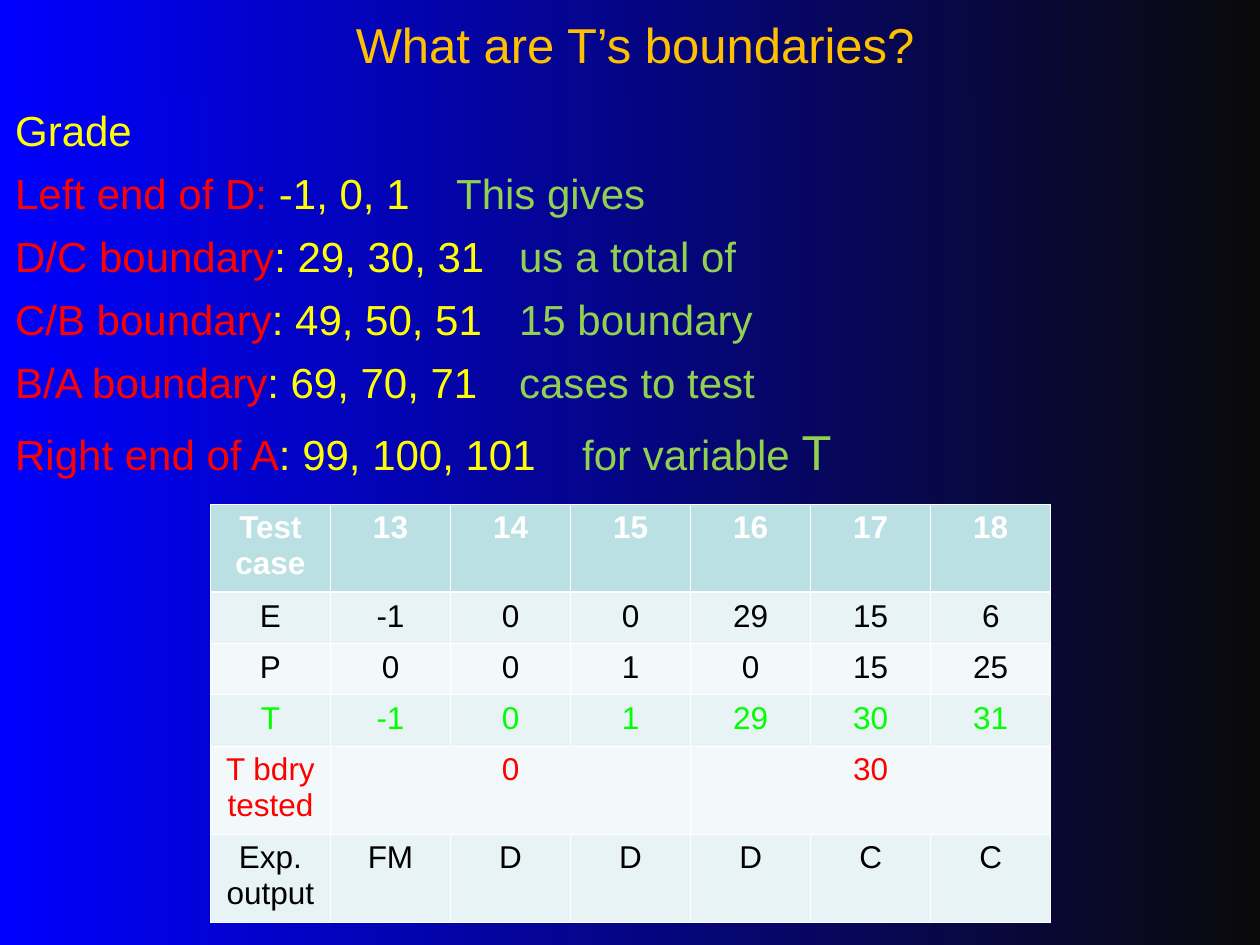
import pptx
import pptx.util
import pptx.dml.color
import pptx.enum.text
import pptx.oxml.ns
import lxml.etree
from dataclasses import dataclass

Inches = pptx.util.Inches
Pt = pptx.util.Pt
PP = pptx.enum.text.PP_ALIGN
ANCHOR = pptx.enum.text.MSO_ANCHOR
FIT = pptx.enum.text.MSO_AUTO_SIZE


@dataclass(frozen=True)
class Theme:
    """Colours, type sizes and font of the slide."""
    face: str = "Arial"
    head: int = 28
    text: int = 24
    cell: int = 18
    blue: str = "0000FF"
    dark: str = "0A0A0A"
    gold: str = "FFC000"
    yellow: str = "FFFF00"
    red: str = "FF0000"
    leaf: str = "92D050"
    lime: str = "00FF00"
    white: str = "FFFFFF"
    black: str = "000000"
    top: str = "BBE0E3"
    bands: tuple = ("E7F3F4", "F3F9FA")


THEME = Theme()
BOUNDS = [
    ("Left end of D: ", "-1, 0, 1", "This gives"),
    ("D/C boundary", ": 29, 30, 31", "us a total of"),
    ("C/B boundary", ": 49, 50, 51", "15 boundary"),
    ("B/A boundary", ": 69, 70, 71", "cases to test"),
    ("Right end of A", ": 99, 100, 101", "for variable "),
]
CASES = [
    (0.7, THEME.white, ["Test case", "13", "14", "15", "16", "17", "18"]),
    (0.41, THEME.black, ["E", "-1", "0", "0", "29", "15", "6"]),
    (0.4, THEME.black, ["P", "0", "0", "1", "0", "15", "25"]),
    (0.41, THEME.lime, ["T", "-1", "0", "1", "29", "30", "31"]),
    (0.7, THEME.red, ["T bdry tested", "0", "", "", "30", "", ""]),
    (0.7, THEME.black, ["Exp. output", "FM", "D", "D", "D", "C", "C"]),
]
SPANS = [(4, 1, 3), (4, 4, 6)]


def rgb(code):
    """Return a colour from its hex code."""
    return pptx.dml.color.RGBColor.from_string(code)


def apply(item, form):
    """Set each format value on the item."""
    for name, value in form.items():
        setattr(item, name, value)


def write(para, text, size, tint, bold=False):
    """Add a formatted run to a paragraph."""
    run = para.add_run()
    run.text = text
    apply(run.font, {"name": THEME.face, "size": Pt(size), "bold": bold})
    run.font.color.rgb = rgb(tint)


def place(shape, box):
    """Move a shape to a box given in inches."""
    apply(shape, dict(zip(("left", "top", "width", "height"), map(Inches, box))))


def shade(fill):
    """Fill from blue on the left to near black on the right."""
    fill.gradient()
    fill.gradient_angle = 0
    for stop, tint in zip(fill.gradient_stops, (THEME.blue, THEME.dark)):
        stop.color.rgb = rgb(tint)


def add_tab(para, pos):
    """Drop the bullet and set one left tab stop."""
    prop = para._p.get_or_add_pPr()
    apply_xml = {"marL": "0", "indent": "0"}
    for name, value in apply_xml.items():
        prop.set(name, value)
    qn = pptx.oxml.ns.qn
    lxml.etree.SubElement(prop, qn("a:buNone"))
    tabs = lxml.etree.SubElement(prop, qn("a:tabLst"))
    lxml.etree.SubElement(tabs, qn("a:tab"), pos=str(Inches(pos)), algn="l")


def add_title(shape, box):
    """Place the title."""
    place(shape, box)
    frame = shape.text_frame
    apply(frame, {"auto_size": FIT.NONE, "word_wrap": True,
                  "vertical_anchor": ANCHOR.MIDDLE})
    para = frame.paragraphs[0]
    para.alignment = PP.CENTER
    write(para, "What are T’s boundaries?", THEME.head, THEME.gold)


def add_list(shape, box):
    """Place the boundaries, with the remark at a tab stop."""
    place(shape, box)
    shade(shape.fill)
    frame = shape.text_frame
    apply(frame, {"auto_size": FIT.NONE, "word_wrap": True,
                  "vertical_anchor": ANCHOR.TOP, "margin_top": Inches(0.08)})
    first = frame.paragraphs[0]
    add_tab(first, 6.6)
    first.space_before = Pt(0)
    write(first, "Grade", THEME.text, THEME.yellow)
    for label, values, remark in BOUNDS:
        para = frame.add_paragraph()
        add_tab(para, 6.6)
        para.space_before = Pt(7.2)
        write(para, label, THEME.text, THEME.red)
        write(para, values + "\t", THEME.text, THEME.yellow)
        write(para, remark, THEME.text, THEME.leaf)
    para.space_before = Pt(8.4)
    write(para, "T", THEME.head, THEME.leaf)


def add_edges(cell, row):
    """Draw white cell borders, thicker under the header."""
    qn = pptx.oxml.ns.qn
    prop = cell._tc.get_or_add_tcPr()
    for side in "LRTB":
        thick = (row, side) in ((0, "B"), (1, "T"))
        line = lxml.etree.SubElement(prop, qn("a:ln" + side),
                                     w=str(Pt(1.47 if thick else 0.45)))
        fill = lxml.etree.SubElement(line, qn("a:solidFill"))
        lxml.etree.SubElement(fill, qn("a:srgbClr"), val=THEME.white)


def add_cases(slide, box):
    """Place the table of test cases."""
    count = len(CASES[0][2])
    grid = slide.shapes.add_table(len(CASES), count, *map(Inches, box)).table
    for col in grid.columns:
        col.width = Inches(box[2] / count)
    for row, (height, tint, words) in enumerate(CASES):
        grid.rows[row].height = Inches(height)
        back = THEME.bands[(row - 1) % 2] if row else THEME.top
        for col, word in enumerate(words):
            cell = grid.cell(row, col)
            add_edges(cell, row)
            cell.fill.solid()
            cell.fill.fore_color.rgb = rgb(back)
            if word:
                para = cell.text_frame.paragraphs[0]
                para.alignment = PP.CENTER
                write(para, word, THEME.cell, tint, row == 0)
    for row, start, end in SPANS:
        grid.cell(row, start).merge(grid.cell(row, end))


def main():
    """Build and save the slide."""
    deck = pptx.Presentation()
    apply(deck, {"slide_width": Inches(10), "slide_height": Inches(7.5)})
    slide = deck.slides.add_slide(deck.slide_layouts[1])
    shade(slide.background.fill)
    add_list(slide.placeholders[1], (0.02, 0.75, 9.98, 6.75))
    add_title(slide.shapes.title, (0.08, 0, 9.92, 0.69))
    add_cases(slide, (1.67, 4, 6.67, 3.32))
    deck.save("out.pptx")


if __name__ == "__main__":
    main()
